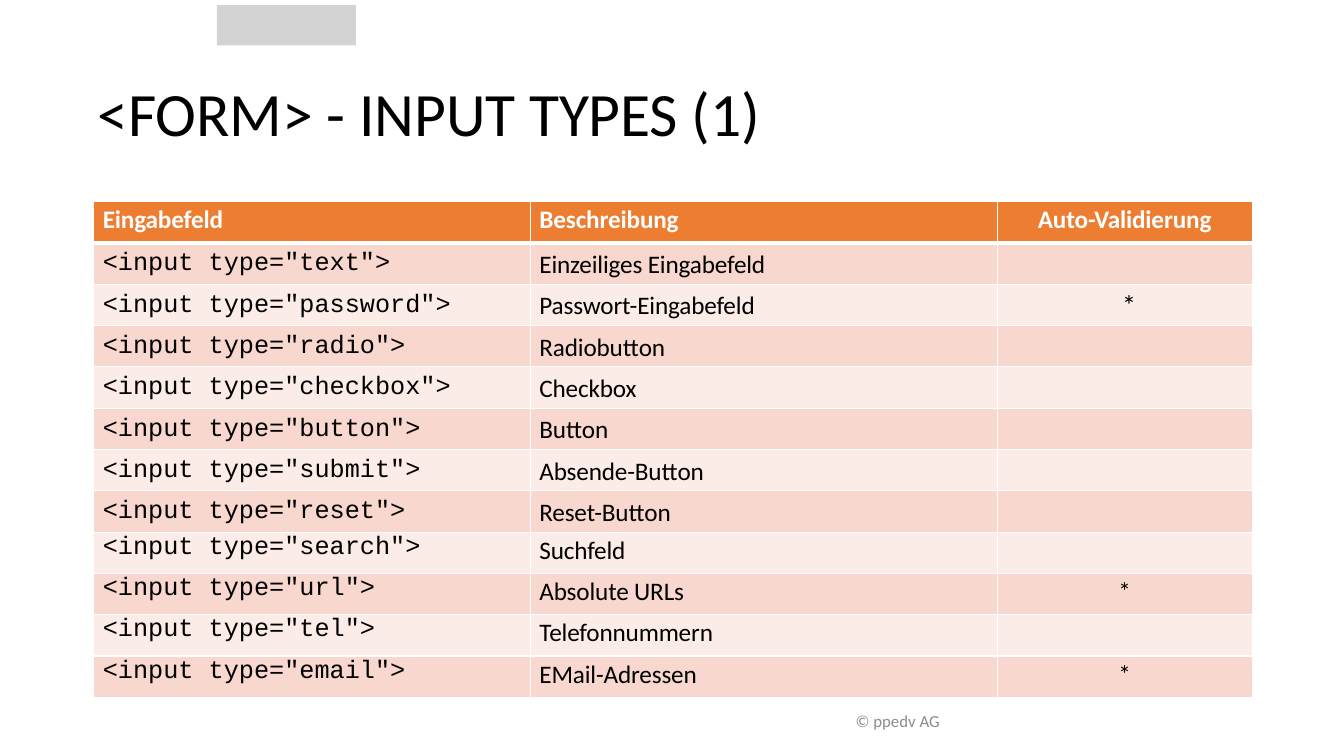
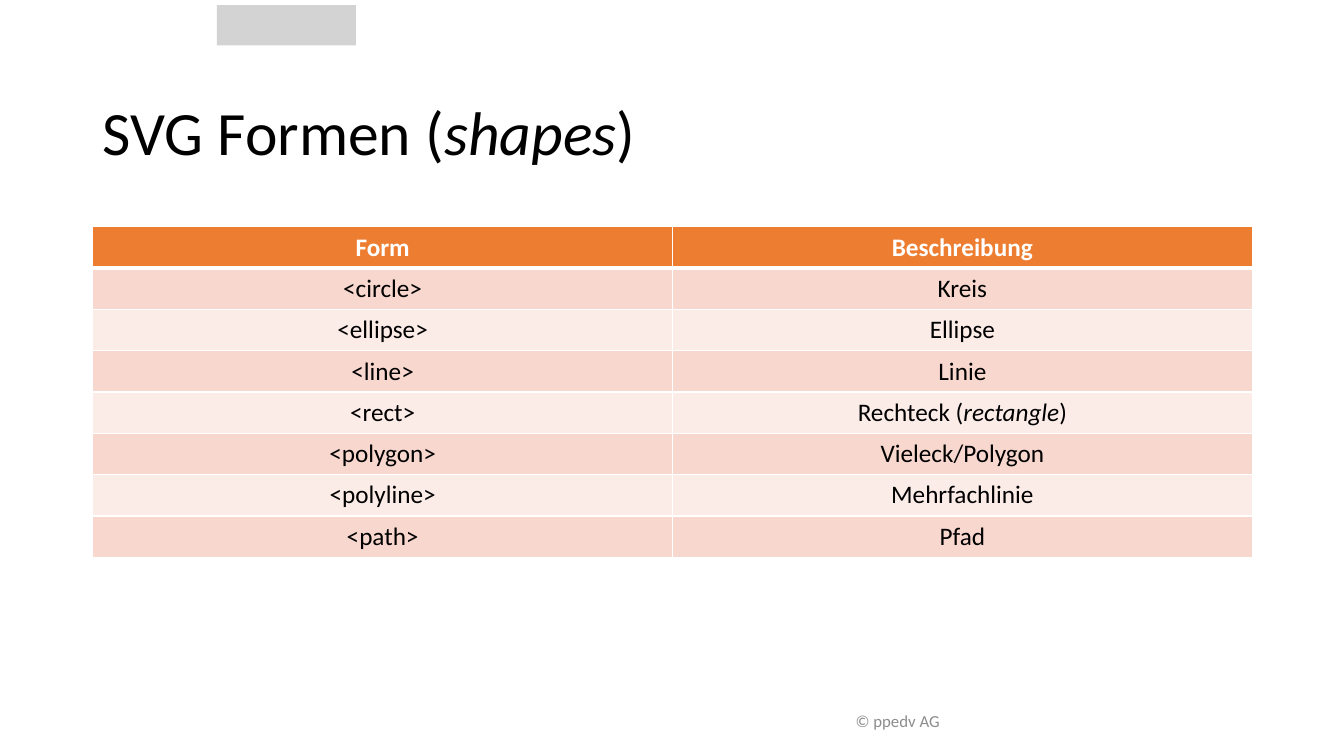
from lxml import etree
from pptx import Presentation
from pptx.dml.color import RGBColor
from pptx.enum import shapes, text
from pptx.oxml import ns
from pptx.util import Inches, Pt

HUES = {
    "head": "ED7D31", "odd": "F8D7CE", "even": "FCECE8", "box": "D4D3D3",
    "ink": "000000", "white": "FFFFFF", "foot": "8C8C8C",
}
SANS, MONO = "Calibri", "Courier New"
LEFT, MID = text.PP_ALIGN.LEFT, text.PP_ALIGN.CENTER
TOP, CORE = text.MSO_ANCHOR.TOP, text.MSO_ANCHOR.MIDDLE
FOOT = "© ppedv AG"

INPUTS = [
    ("Eingabefeld", "Beschreibung", "Auto-Validierung"),
    ('<input type="text">', "Einzeiliges Eingabefeld", ""),
    ('<input type="password">', "Passwort-Eingabefeld", "*"),
    ('<input type="radio">', "Radiobutton", ""),
    ('<input type="checkbox">', "Checkbox", ""),
    ('<input type="button">', "Button", ""),
    ('<input type="submit">', "Absende-Button", ""),
    ('<input type="reset">', "Reset-Button", ""),
    ('<input type="search">', "Suchfeld", ""),
    ('<input type="url">', "Absolute URLs", "*"),
    ('<input type="tel">', "Telefonnummern", ""),
    ('<input type="email">', "EMail-Adressen", "*"),
]
FORMS = [
    ("Form", "Beschreibung"),
    ("<circle>", "Kreis"),
    ("<ellipse>", "Ellipse"),
    ("<line>", "Linie"),
    ("<rect>", "Rechteck (_rectangle_)"),
    ("<polygon>", "Vieleck/Polygon"),
    ("<polyline>", "Mehrfachlinie"),
    ("<path>", "Pfad"),
]
SLIDES = [
    {"title": "<FORM> - INPUT TYPES (1)", "at": (0.96, 0.74, 11.5, 0.74),
     "pad": (0.01, 0, 0, 0), "lead": 1.0, "tight": True,
     "rows": INPUTS, "spot": (0.93, 2), "cols": (4.33, 4.63, 2.53)},
    {"title": "SVG Formen (_shapes_)", "at": (0.92, 0.5, 11.5, 1.35),
     "pad": (0.1, 0.39, 0.1, 0.05), "lead": 0.9, "tight": False,
     "rows": FORMS, "spot": (0.92, 2.25), "cols": (5.75, 5.75)},
]
HIGH = 0.41
CORED = range(1, 8)


def color(name):
    return RGBColor.from_string(HUES[name])


def inset(part, pad):
    (part.margin_left, part.margin_top,
     part.margin_right, part.margin_bottom) = map(Inches, pad)


def write(para, words, size, hue="ink", face=SANS, bold=False, tight=False):
    for i, piece in enumerate(words.split("_")):
        run = para.add_run()
        run.text = piece
        font = run.font
        font.name, font.size, font.bold = face, Pt(size), bold
        font.italic = i % 2 == 1
        font.color.rgb = color(hue)
        if tight:
            run._r.get_or_add_rPr().set("spc", "-10")


def edge(cell, row):
    props = cell._tc.get_or_add_tcPr()
    wide = {"T": 3 if row == 1 else 1, "B": 3 if row == 0 else 1}
    for i, side in enumerate("LRTB"):
        line = etree.Element(ns.qn("a:ln" + side), w=str(Pt(wide.get(side, 1))))
        fill = etree.SubElement(line, ns.qn("a:solidFill"))
        etree.SubElement(fill, ns.qn("a:srgbClr"), val=HUES["white"])
        props.insert(i, line)


def style(cell, words, row, col, tight):
    head = row == 0
    star = words == "*"
    code = tight and col == 0 and not head
    core = not tight or row in CORED
    para = cell.text_frame.paragraphs[0]
    cell.vertical_anchor = CORE if core else TOP
    para.alignment = LEFT if tight and col < 2 else MID
    if tight:
        side = 0.09 if col < 2 or (star and core) else 0
        inset(cell, (side, 0.01 if code else 0.03, 0, 0))
        if col == 1 and row in CORED:
            para.line_spacing = Pt(21.6)
    if words:
        write(para, words, 20 if star and core else 18,
              "white" if head else "ink", MONO if code else SANS,
              head, tight and not code and not star)
    cell.fill.solid()
    cell.fill.fore_color.rgb = color("head" if head else "odd" if row % 2 else "even")
    edge(cell, row)


def grid(slide, plan):
    rows, cols = plan["rows"], plan["cols"]
    table = slide.shapes.add_table(
        len(rows), len(cols), *map(Inches, plan["spot"]),
        Inches(sum(cols)), Inches(HIGH * len(rows))).table
    for col, wide in enumerate(cols):
        table.columns[col].width = Inches(wide)
    for r, row in enumerate(rows):
        table.rows[r].height = Inches(HIGH)
        for c, words in enumerate(row):
            style(table.cell(r, c), words, r, c, plan["tight"])


def brand(deck, slide):
    box = slide.shapes.add_shape(
        shapes.MSO_SHAPE.RECTANGLE, *map(Inches, (2.15, 0.05, 1.38, 0.4)))
    box.shadow.inherit = False
    box.fill.solid()
    box.fill.fore_color.rgb = color("box")
    box.line.fill.background()
    deck.slide_master.shapes.element.append(box.element)


def title(slide, plan):
    head = slide.shapes.title
    head.left, head.top, head.width, head.height = map(Inches, plan["at"])
    frame = head.text_frame
    frame.word_wrap = True
    frame.auto_size = text.MSO_AUTO_SIZE.NONE
    frame.vertical_anchor = CORE
    inset(frame, plan["pad"])
    para = frame.paragraphs[0]
    para.alignment = LEFT
    para.line_spacing = plan["lead"]
    write(para, plan["title"], 44, tight=plan["tight"])


def footer(slide):
    frame = slide.shapes.add_textbox(
        *map(Inches, (0.92, 6.95, 8.5, 0.4))).text_frame
    frame.word_wrap = True
    frame.vertical_anchor = CORE
    para = frame.paragraphs[0]
    para.alignment = text.PP_ALIGN.RIGHT
    write(para, FOOT, 12, "foot")


def main():
    deck = Presentation()
    deck.slide_width, deck.slide_height = Inches(13.33), Inches(7.5)
    for i, plan in enumerate(SLIDES):
        slide = deck.slides.add_slide(deck.slide_layouts[5])
        if i == 0:
            brand(deck, slide)
        title(slide, plan)
        grid(slide, plan)
        footer(slide)
    deck.save("out.pptx")


if __name__ == "__main__":
    main()
